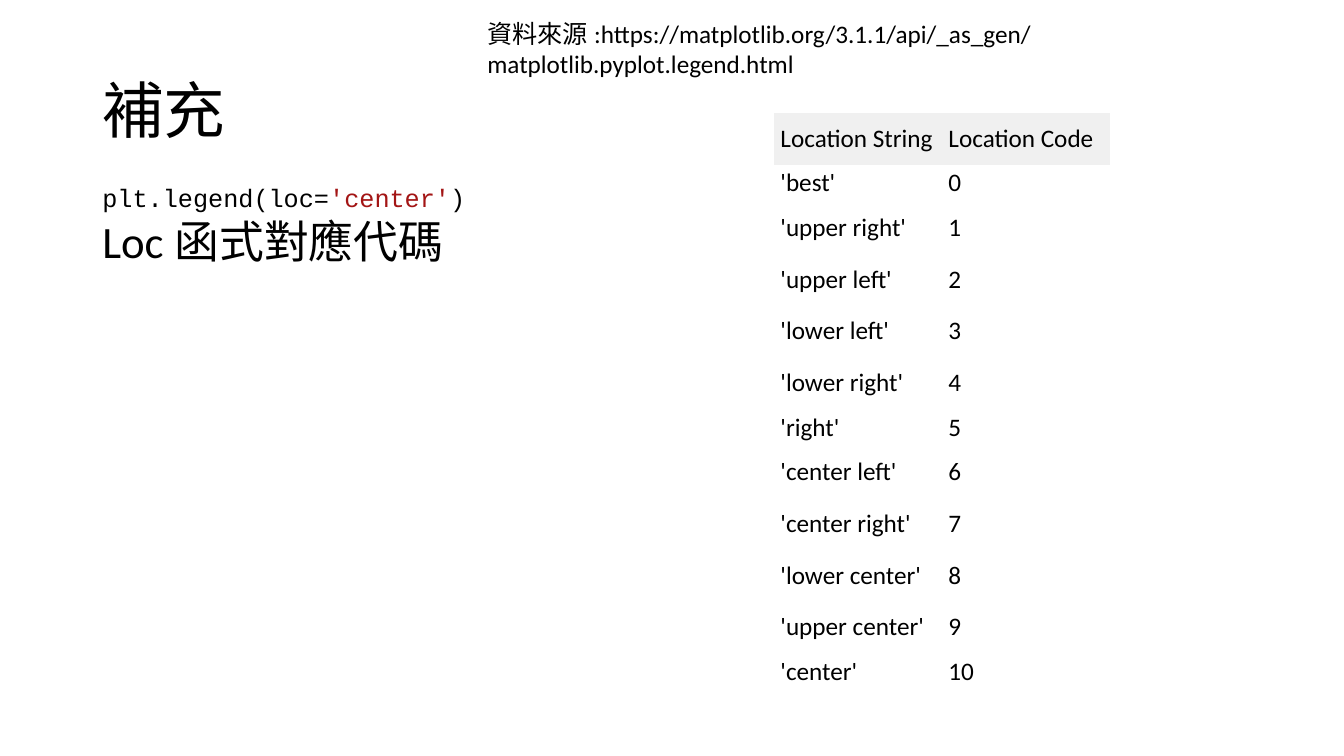
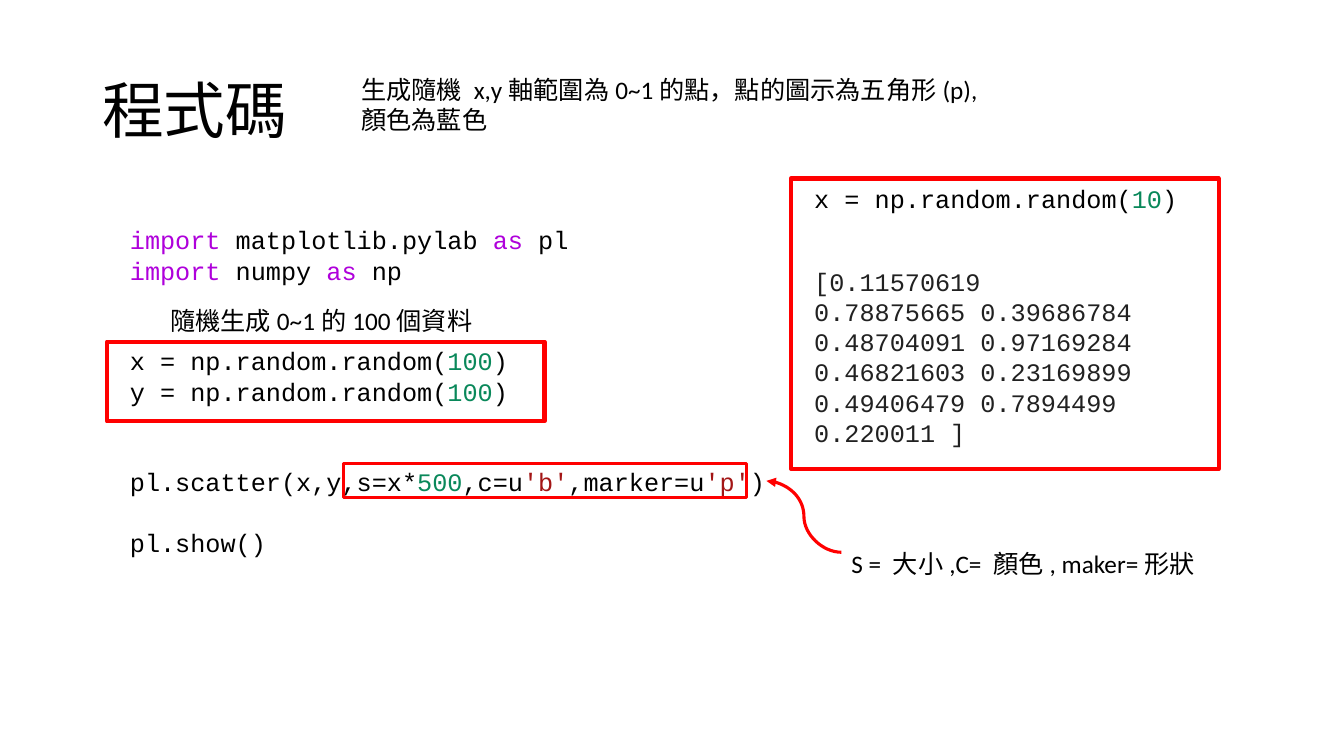
from lxml import etree
from pptx import Presentation
from pptx.dml.color import RGBColor
from pptx.enum import shapes, text
from pptx.oxml import ns
from pptx.util import Pt

BLACK = RGBColor(0x00, 0x00, 0x00)
RED = RGBColor(0xFF, 0x00, 0x00)
HEADER_GREY = RGBColor(0xF0, 0xF0, 0xF0)
KEYWORD = RGBColor(0xAF, 0x00, 0xDB)
NUMBER = RGBColor(0x09, 0x88, 0x5A)
STRING = RGBColor(0xA3, 0x15, 0x15)
OUTPUT = RGBColor(0x21, 0x21, 0x21)

BODY_FONT = "Calibri"
CODE_FONT = "Courier New"
NO_STYLE = "{2D5ABB26-0587-4C30-8999-92F81FD0307C}"

LOCATIONS = ["best", "upper right", "upper left", "lower left", "lower right", "right",
             "center left", "center right", "lower center", "upper center", "center"]


class Deck:
    def __init__(self):
        self.prs = Presentation()
        self.prs.slide_width, self.prs.slide_height = Pt(960), Pt(540)
        self.slide = None

    def new_slide(self, title):
        self.slide = self.prs.slides.add_slide(self.prs.slide_layouts[6])
        tf = self.text(66, 29, 828, 104, title, size=44)
        tf.vertical_anchor = text.MSO_ANCHOR.MIDDLE
        tf.paragraphs[0].line_spacing = 0.9

    def style(self, r, size=18, font=BODY_FONT, color=BLACK):
        r.font.size, r.font.name = Pt(size), font
        r.font.color.rgb = color

    def box(self, x, y, w, h, wrap=True):
        sp = self.slide.shapes.add_textbox(Pt(x), Pt(y), Pt(w), Pt(h))
        sp.text_frame.word_wrap = wrap
        return sp.text_frame

    def text(self, x, y, w, h, content, size=18, font=BODY_FONT, color=BLACK):
        tf = self.box(x, y, w, h)
        tf.text = content
        self.style(tf.paragraphs[0].runs[0], size, font, color)
        return tf

    def code(self, x, y, w, h, lines, wrap=True):
        """Each line is (space before, tokens); a token is a string or (string, colour)."""
        tf = self.box(x, y, w, h, wrap)
        for i, (gap, tokens) in enumerate(lines):
            p = tf.add_paragraph() if i else tf.paragraphs[0]
            p.space_before = Pt(gap)
            for token in tokens:
                content, color = (token, BLACK) if isinstance(token, str) else token
                r = p.add_run()
                r.text = content
                self.style(r, font=CODE_FONT, color=color)

    def frame(self, x, y, w, h, weight):
        sp = self.slide.shapes.add_shape(
            shapes.MSO_SHAPE.RECTANGLE, Pt(x), Pt(y), Pt(w), Pt(h))
        sp.shadow.inherit = False
        sp.fill.background()
        sp.line.color.rgb, sp.line.width = RED, Pt(weight)

    def curved_arrow(self, x1, y1, x2, y2):
        line = self.slide.shapes.add_connector(
            shapes.MSO_CONNECTOR.CURVE, Pt(x1), Pt(y1), Pt(x2), Pt(y2))
        line.line.color.rgb, line.line.width = RED, Pt(2.25)
        etree.SubElement(line.line._get_or_add_ln(), ns.qn("a:tailEnd"), type="triangle")
        etree.SubElement(line._element.spPr, ns.qn("a:effectLst"))

    def table(self, x, y, col_w, rows):
        """Plain table with a grey header; one-word rows are lower than the others."""
        heights = [37 if " " in row[0] else 26.5 for row in rows]
        cols = len(rows[0])
        table = self.slide.shapes.add_table(
            len(rows), cols, Pt(x), Pt(y), Pt(col_w * cols), Pt(sum(heights))).table
        table.first_row = table.horz_banding = False
        table._tbl.tblPr.find(ns.qn("a:tableStyleId")).text = NO_STYLE
        for col in table.columns:
            col.width = Pt(col_w)
        for i, row in enumerate(rows):
            table.rows[i].height = Pt(heights[i])
            for j, content in enumerate(row):
                cell = table.cell(i, j)
                cell.margin_left = cell.margin_right = Pt(4.5)
                cell.margin_top = cell.margin_bottom = Pt(2.25)
                cell.vertical_anchor = text.MSO_ANCHOR.MIDDLE
                if i:
                    cell.fill.background()
                else:
                    cell.fill.solid()
                    cell.fill.fore_color.rgb = HEADER_GREY
                cell.text = content
                self.style(cell.text_frame.paragraphs[0].runs[0])


def random_line(name, count):
    return [f"{name} = np.random.random(", (count, NUMBER), ")"]


def import_line(module, alias):
    return [("import ", KEYWORD), f"{module} ", ("as ", KEYWORD), alias]


def legend_slide(deck):
    deck.new_slide("補充")
    rows = [(f"'{name}'", str(i)) for i, name in enumerate(LOCATIONS)]
    deck.table(553, 80.7, 120, [("Location String", "Location Code")] + rows)
    deck.text(66, 149, 268, 46, "Loc函式對應代碼", size=32)
    deck.code(66, 127, 275, 29,
              [(0, ["plt.legend(loc=", ("'center'", STRING), ")"])], wrap=False)
    deck.text(341, 9.5, 619, 29, "資料來源:https://matplotlib.org/3.1.1/api/"
              "_as_gen/matplotlib.pyplot.legend.html")


def scatter_slide(deck):
    deck.new_slide("程式碼")
    line = 21.6
    deck.code(85.7, 157, 480, 247, [
        (0, import_line("matplotlib.pylab", "pl")),
        (0, import_line("numpy", "np")),
        (2 * line, random_line("x", "100")),
        (0, random_line("y", "100")),
        (2 * line, ["pl.scatter(x,y,s=x*", ("500", NUMBER), ",c=u", ("'b'", STRING),
                    ",marker=u", ("'p'", STRING), ")"]),
        (line, ["pl.show()"]),
    ])
    deck.frame(76.5, 244, 312.5, 57, 3)
    deck.text(114.5, 214.5, 263, 29, "隨機生成0~1的100個資料")

    deck.code(574.5, 127.5, 286, 29, [(0, random_line("x", "10"))], wrap=False)
    deck.text(574.5, 186.5, 246, 138,
              "[0.11570619 0.78875665 0.39686784 0.48704091 0.97169284 "
              "0.46821603 0.23169899 0.49406479 0.7894499 0.220011 ]",
              font=CODE_FONT, color=OUTPUT)
    deck.frame(565, 127.5, 305.5, 207.5, 3)

    deck.frame(245.5, 331, 288, 24.5, 2.25)
    deck.curved_arrow(601, 394.5, 547.5, 343.5)
    deck.text(601, 388, 269, 29, "S = 大小,C= 顏色, maker=形狀")
    deck.text(251, 49.7, 467, 51,
              "生成隨機 x,y軸範圍為0~1的點，點的圖示為五角形(p),顏色為藍色")


def main():
    deck = Deck()
    legend_slide(deck)
    scatter_slide(deck)
    deck.prs.save("out.pptx")


if __name__ == "__main__":
    main()
